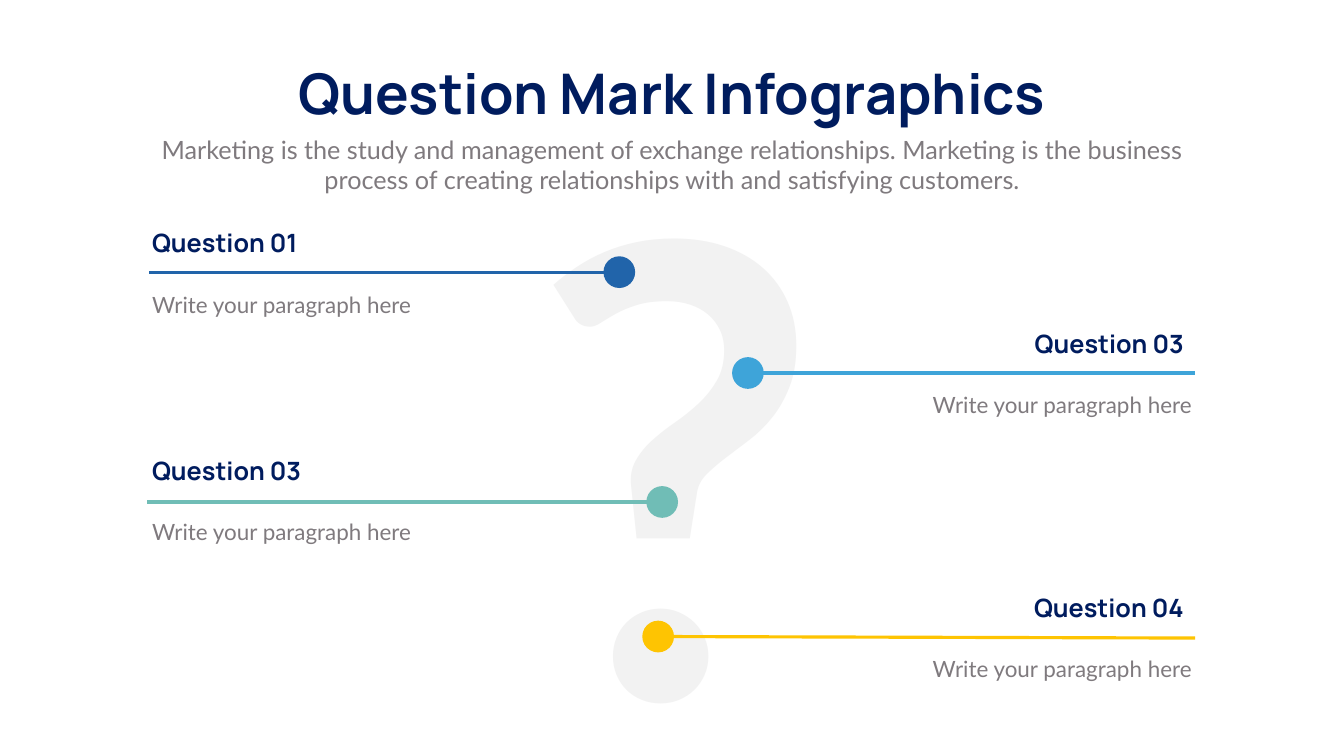
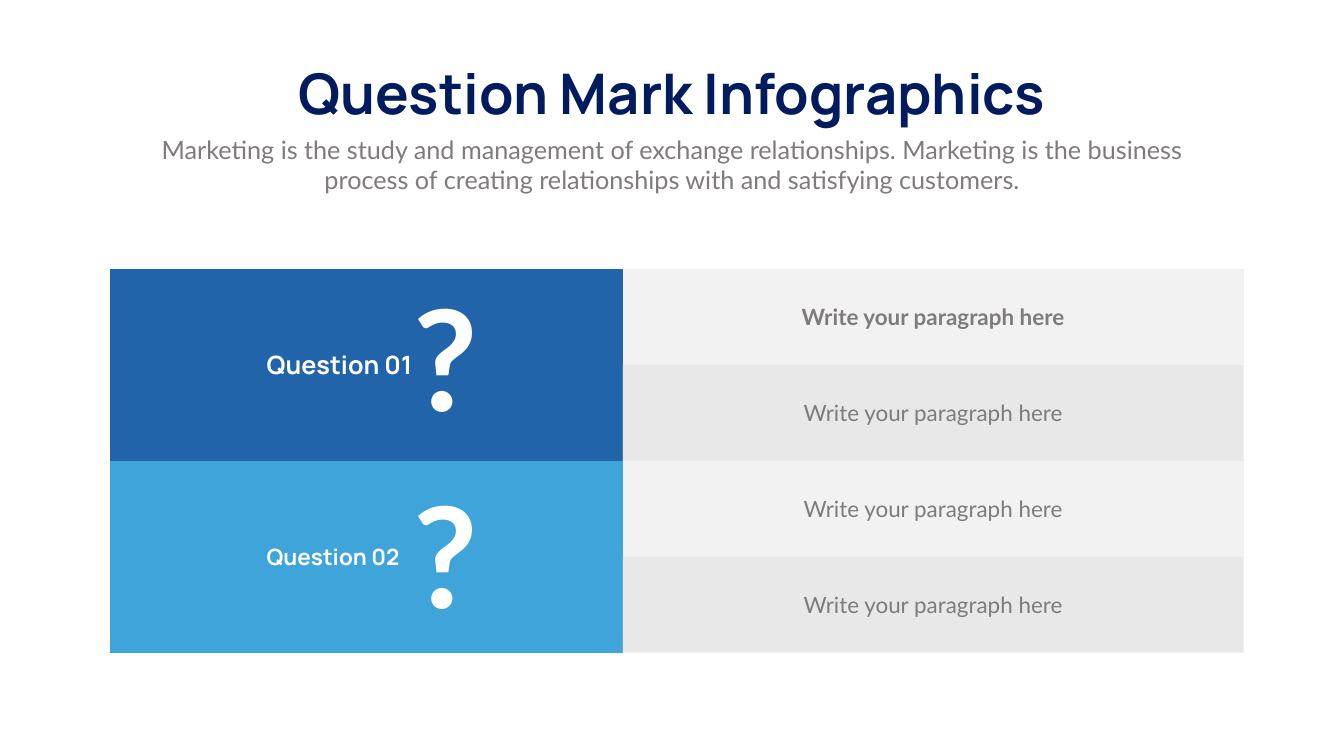
from collections import namedtuple
from pptx import Presentation
from pptx.dml.color import RGBColor
from pptx.enum.shapes import MSO_CONNECTOR as CONN, MSO_SHAPE as SHAPE
from pptx.enum.text import MSO_ANCHOR as ANCHOR, MSO_AUTO_SIZE as FIT, PP_ALIGN as ALIGN
from pptx.oxml.ns import qn
from pptx.util import Inches, Pt
from lxml.etree import SubElement

W, H = 26.66, 15
NAVY, GRAY, WHITE = "001C5E", "7F7A7E", "FFFFFF"
BLUE, SKY, TEAL, YELLOW = "2164AA", "3EA4D9", "70BDB6", "FEC402"
PALE, SILVER = "F2F2F2", "D9D9D9"
HEAD_FONT, BODY_FONT = "Manrope", "Lato"
NO_STYLE = "{2D5ABB26-0587-4C30-8999-92F81FD0307C}"
TITLE = "Question Mark Infographics"
SUBTITLE = ("Marketing is the study and management of exchange relationships. "
            "Marketing is the business process of creating relationships "
            "with and satisfying customers.")
BODY = "Write your paragraph here"

Box = namedtuple("Box", "x y w h")
Item = namedtuple("Item", "label color right top dot_x inner outer line_y end_y")

CONTENT = Box(10.95, 17.4, 78.1, 8.73)
MARK = Box(39.2, 8.93, 21.64, 101.67)
GRID = Box(8.21, 35.6, 84.32, 50.73)
ITEMS = [
    Item("Question 01", BLUE, False, 29.8, 46.08, 46.1, 11.07, 6.2, 6.2),
    Item("Question 03", SKY, True, 43.07, 55.65, 55.74, 88.93, 6.27, 6.27),
    Item("Question 03", TEAL, False, 59.87, 49.27, 50, 10.95, 6.53, 6.53),
    Item("Question 04", YELLOW, True, 78, 48.97, 50, 88.93, 6.2, 6.4),
]
QUESTIONS = [("Question 01", BLUE, 36), ("Question 02", SKY, 32)]


def rgb(value):
    return RGBColor.from_string(value)


def px(share):
    return Inches(W * share / 100)


def py(share):
    return Inches(H * share / 100)


def place(box):
    return px(box.x), py(box.y), px(box.w), py(box.h)


def write(tf, text, size, font, color, bold=False, align=ALIGN.LEFT):
    p = tf.paragraphs[0]
    p.alignment = align
    r = p.add_run()
    r.text = text
    r.font.size = Pt(size)
    r.font.name = font
    r.font.bold = bold
    r.font.color.rgb = rgb(color)
    return p


def add_text(s, box, *style, wrap=True, **options):
    tf = s.shapes.add_textbox(*place(box)).text_frame
    tf.word_wrap = wrap
    tf.auto_size = FIT.SHAPE_TO_FIT_TEXT
    write(tf, *style, **options)


def add_mark(s, box, size, color):
    add_text(s, box, "?", size, BODY_FONT, color, bold=True,
             align=ALIGN.CENTER, wrap=False)


def add_line(s, x1, y1, x2, y2, color):
    line = s.shapes.add_connector(CONN.STRAIGHT, px(x1), py(y1), px(x2), py(y2))
    line.line.color.rgb = rgb(color)
    line.line.width = Pt(4.5)
    SubElement(line._element.spPr, qn("a:effectLst"))


def add_dot(s, x, y, color):
    w, h = 2.36, 4.2
    sp = s.shapes.add_shape(SHAPE.OVAL, *place(Box(x - w / 2, y - h / 2, w, h)))
    sp.shadow.inherit = False
    sp.fill.solid()
    sp.fill.fore_color.rgb = rgb(color)
    sp.line.fill.background()


def add_header(s, box, title_w):
    title = Box(box.x + (box.w - title_w) / 2, box.y - 9.93, title_w, 9.67)
    add_text(s, title, TITLE, 80, HEAD_FONT, NAVY, bold=True,
             align=ALIGN.CENTER, wrap=False)
    add_text(s, box, SUBTITLE, 36, BODY_FONT, GRAY, align=ALIGN.CENTER)


def add_question(s, box, item):
    head_w, body_w = 13.92, 29.74
    head_x = body_x = box.x
    align = ALIGN.LEFT
    if item.right:
        head_x = box.x + box.w - head_w - 0.6
        body_x = box.x + box.w - body_w
        align = ALIGN.RIGHT
    y = box.y + item.line_y
    add_line(s, item.inner, y, item.outer, box.y + item.end_y, item.color)
    add_dot(s, item.dot_x, y, item.color)
    add_text(s, Box(head_x, box.y, head_w, 4.73), item.label, 36, HEAD_FONT,
             NAVY, bold=True, align=align)
    add_text(s, Box(body_x, box.y + 8.33, body_w, 4.27), BODY, 32, BODY_FONT,
             GRAY, align=align)


def fill_cell(cell, color, alpha=None):
    cell.vertical_anchor = ANCHOR.MIDDLE
    cell.fill.solid()
    cell.fill.fore_color.rgb = rgb(color)
    if alpha:
        clr = cell._tc.tcPr.find(qn("a:solidFill"))[0]
        SubElement(clr, qn("a:alpha")).set("val", str(alpha * 1000))


def add_question_table(s, box):
    rows = 2 * len(QUESTIONS)
    table = s.shapes.add_table(rows, 2, *place(box)).table
    table.first_row = table.horz_banding = False
    table._tbl.tblPr.find(qn("a:tableStyleId")).text = NO_STYLE
    for col, share in zip(table.columns, (0.452, 0.548)):
        col.width = px(box.w * share)
    for i, row in enumerate(table.rows):
        row.height = py(box.h / rows)
        cell = table.cell(i, 1)
        fill_cell(cell, *((SILVER, 60) if i % 2 else (PALE,)))
        write(cell.text_frame, BODY, 32, BODY_FONT, GRAY, bold=i == 0,
              align=ALIGN.CENTER)
    for i, (label, color, size) in enumerate(QUESTIONS):
        cell = table.cell(2 * i, 0)
        cell.merge(table.cell(2 * i + 1, 0))
        fill_cell(cell, color)
        p = write(cell.text_frame, label, size, HEAD_FONT, WHITE, bold=True)
        p.level = 3
        pPr = p._p.get_or_add_pPr()
        pPr.set("marL", str(Inches(3)))
        pPr.set("indent", "0")
        add_mark(s, Box(box.x + 22.21, box.y + 26.07 * i, 5.18, 23.13), 200, WHITE)


def build_callouts(s):
    add_header(s, CONTENT, 63.2)
    add_mark(s, MARK, 900, PALE)
    for item in ITEMS:
        add_question(s, CONTENT._replace(y=item.top), item)


def build_table(s):
    add_header(s, CONTENT, 60.84)
    add_question_table(s, GRID)


def main():
    prs = Presentation()
    prs.slide_width, prs.slide_height = Inches(W), Inches(H)
    for build in (build_callouts, build_table):
        s = prs.slides.add_slide(prs.slide_layouts[6])
        s.background.fill.solid()
        s.background.fill.fore_color.rgb = rgb(WHITE)
        build(s)
    prs.save("out.pptx")


if __name__ == "__main__":
    main()
